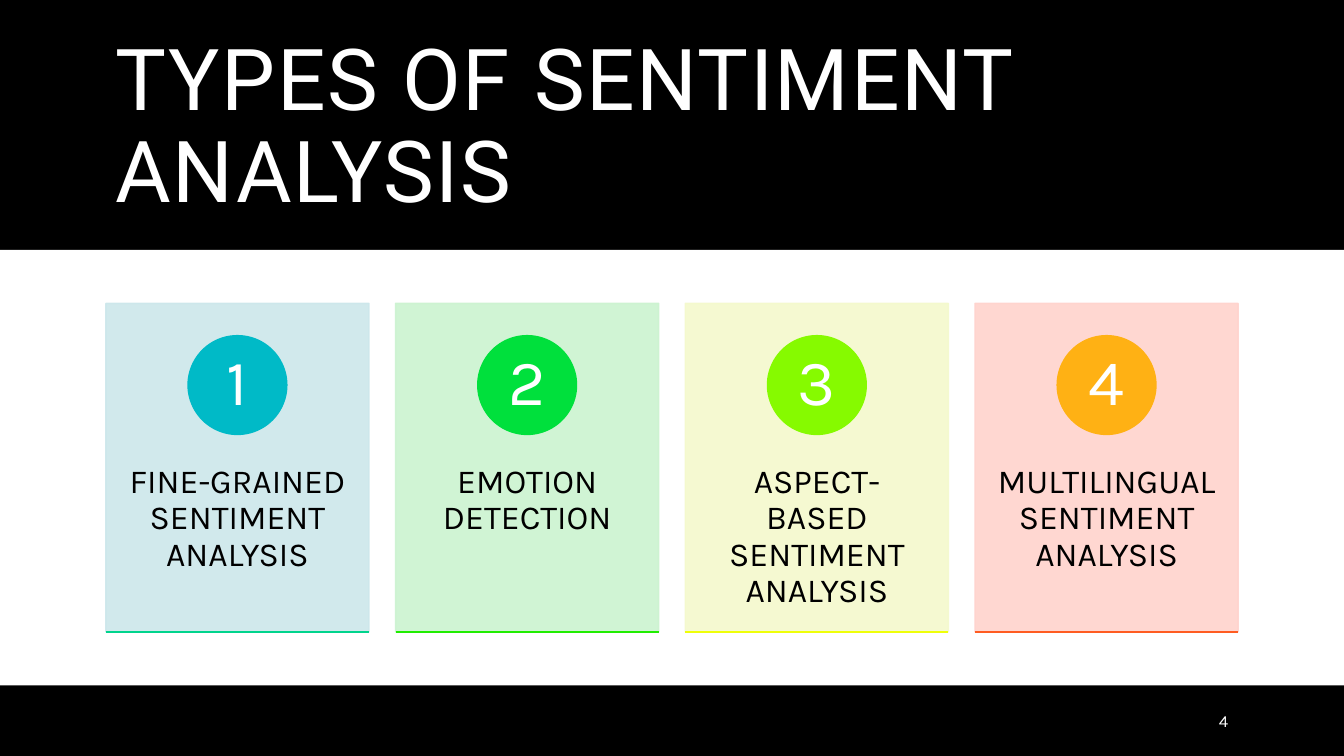
from lxml import etree
from pptx import Presentation
from pptx.dml.color import RGBColor
from pptx.enum.shapes import MSO_CONNECTOR, MSO_SHAPE
from pptx.enum.text import MSO_ANCHOR, PP_ALIGN
from pptx.oxml.ns import qn
from pptx.util import Inches, Pt

BLACK = RGBColor(0x00, 0x00, 0x00)
WHITE = RGBColor(0xFF, 0xFF, 0xFF)
TITLE = "TYPES OF SENTIMENT ANALYSIS"
PAGE_NUMBER = "4"
CARDS = [
    ("FINE-GRAINED SENTIMENT ANALYSIS", RGBColor(0xCC, 0xE7, 0xEB),
     RGBColor(0x00, 0xBA, 0xC7), RGBColor(0x00, 0xD4, 0x8D)),
    ("EMOTION DETECTION", RGBColor(0xCB, 0xF3, 0xD0),
     RGBColor(0x00, 0xE0, 0x3C), RGBColor(0x20, 0xED, 0x00)),
    ("ASPECT-BASED SENTIMENT ANALYSIS", RGBColor(0xF4, 0xF9, 0xCC),
     RGBColor(0x86, 0xFA, 0x00), RGBColor(0xEF, 0xFF, 0x08)),
    ("MULTILINGUAL SENTIMENT ANALYSIS", RGBColor(0xFF, 0xD3, 0xCD),
     RGBColor(0xFF, 0xB1, 0x14), RGBColor(0xFF, 0x5C, 0x21)),
]

WIDTH, HEIGHT = 13.33, 7.5
MARGIN = 1.05
CONTENT_WIDTH = WIDTH - 2 * MARGIN
BAND_TOP, BAND_HEIGHT = 2.48, 4.32
CARD_TOP, CARD_WIDTH, CARD_HEIGHT = 3.01, 2.61, 3.26
CARD_PITCH = (CONTENT_WIDTH - CARD_WIDTH) / (len(CARDS) - 1)
CIRCLE_TOP, CIRCLE_SIZE, NUMBER_SIZE = 3.33, 0.98, 0.69
LABEL_TOP, LABEL_HEIGHT = 4.25, 1.96
CARD_OPACITY = 90

TOP, MIDDLE = MSO_ANCHOR.TOP, MSO_ANCHOR.MIDDLE
LEFT, CENTER, RIGHT = PP_ALIGN.LEFT, PP_ALIGN.CENTER, PP_ALIGN.RIGHT
RECTANGLE, OVAL = MSO_SHAPE.RECTANGLE, MSO_SHAPE.OVAL
STRAIGHT = MSO_CONNECTOR.STRAIGHT


def inches(*lengths):
    return [Inches(length) for length in lengths]


def add_block(page, kind, place, color, outlined=False, opacity=100):
    shape = page.shapes.add_shape(kind, *inches(*place))
    shape.shadow.inherit = False
    shape.fill.solid()
    shape.fill.fore_color.rgb = color
    if outlined:
        shape.line.color.rgb = color
        shape.line.width = Pt(1)
    else:
        shape.line.fill.background()
    if opacity < 100:
        for tint in shape.element.spPr.iter(qn("a:srgbClr")):
            etree.SubElement(tint, qn("a:alpha"), val=str(opacity * 1000))


def add_text(page, text, place, size, font="Karla", color=WHITE, align=LEFT,
             anchor=MIDDLE, inset=(0.1, 0.05), line_spacing=0.9, tracking=0):
    box = page.shapes.add_textbox(*inches(*place))
    frame = box.text_frame
    frame.word_wrap = True
    frame.vertical_anchor = anchor
    frame.margin_left = frame.margin_right = Inches(inset[0])
    frame.margin_top = frame.margin_bottom = Inches(inset[1])
    para = frame.paragraphs[0]
    para.alignment = align
    para.line_spacing = line_spacing
    span = para.add_run()
    span.text = text
    span.font.name = font
    span.font.size = Pt(size)
    span.font.color.rgb = color
    if tracking:
        span.font._element.set("spc", str(round(tracking * 100)))


def add_rule(page, left, top, width, color):
    rule = page.shapes.add_connector(STRAIGHT, *inches(left, top, left + width, top))
    rule.line.color.rgb = color
    rule.line.width = Pt(1)
    etree.SubElement(rule.element.spPr, qn("a:effectLst"))


def add_card(page, index, label, tint, circle_color, rule_color):
    left = MARGIN + index * CARD_PITCH
    center = left + CARD_WIDTH / 2
    number_top = CIRCLE_TOP + (CIRCLE_SIZE - NUMBER_SIZE) / 2
    add_block(page, RECTANGLE, (left, CARD_TOP, CARD_WIDTH, CARD_HEIGHT), tint,
              outlined=True, opacity=CARD_OPACITY)
    add_text(page, label, (left, LABEL_TOP, CARD_WIDTH, LABEL_HEIGHT), 24,
             color=BLACK, align=CENTER, anchor=TOP, inset=(0.2, 0.36))
    add_block(page, OVAL, (center - CIRCLE_SIZE / 2, CIRCLE_TOP, CIRCLE_SIZE, CIRCLE_SIZE),
              circle_color, outlined=True)
    add_text(page, str(index + 1),
             (center - NUMBER_SIZE / 2, number_top, NUMBER_SIZE, NUMBER_SIZE), 46,
             align=CENTER, inset=(0.08, 0.01))
    add_rule(page, left, CARD_TOP + CARD_HEIGHT, CARD_WIDTH, rule_color)


def main():
    deck = Presentation()
    deck.slide_width, deck.slide_height = inches(WIDTH, HEIGHT)
    page = deck.slides.add_slide(deck.slide_layouts[6])
    add_block(page, RECTANGLE, (0, 0, WIDTH, HEIGHT), BLACK)
    add_text(page, TITLE, (MARGIN, 0.35, CONTENT_WIDTH, 1.86), 61,
             font="Roboto", tracking=1.2)
    add_block(page, RECTANGLE, (0, BAND_TOP, WIDTH, BAND_HEIGHT), WHITE)
    add_text(page, PAGE_NUMBER, (11.26, 6.95, 1.02, 0.4), 12,
             align=RIGHT, line_spacing=1.0)
    for index, card in enumerate(CARDS):
        add_card(page, index, *card)
    deck.save("out.pptx")


if __name__ == "__main__":
    main()
